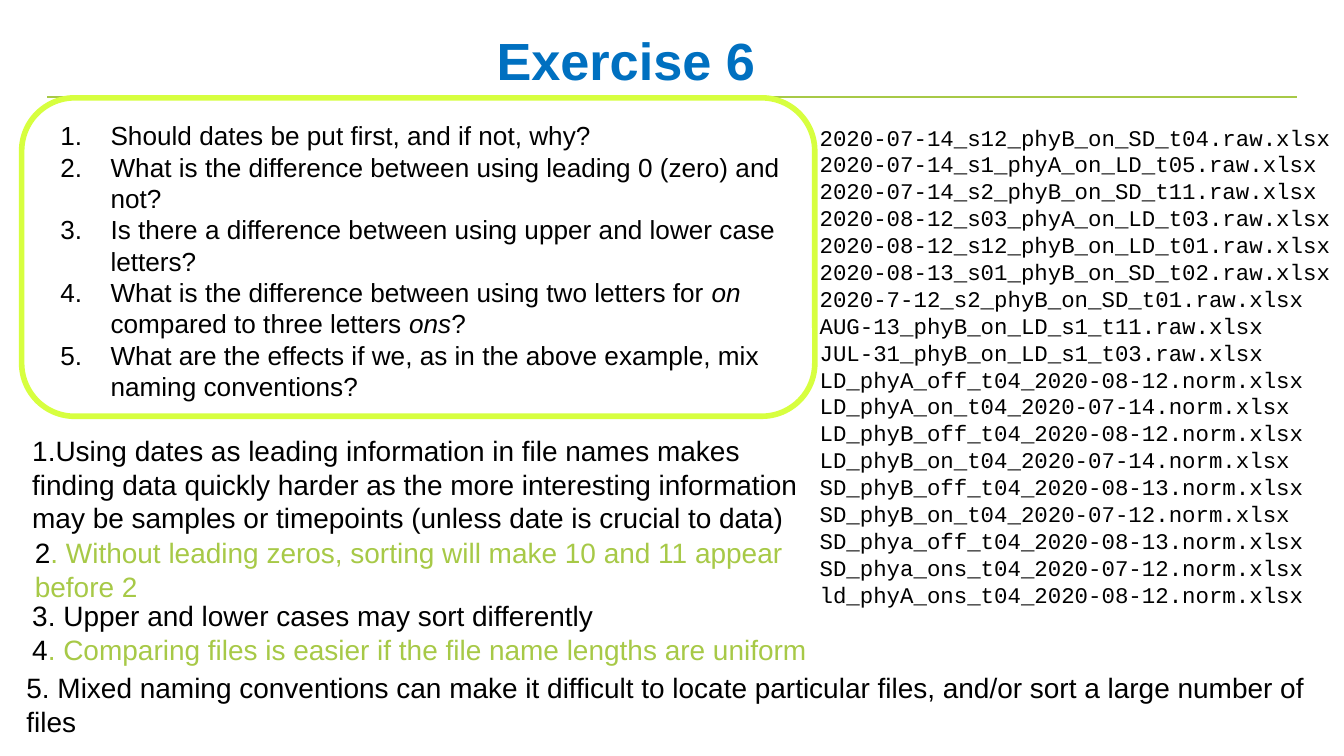
from dataclasses import dataclass

from lxml import etree
from pptx import Presentation, util as u
from pptx.dml.color import RGBColor
from pptx.enum import shapes, text
from pptx.oxml.ns import qn


@dataclass(frozen=True)
class Theme:
    sans: str = "Arial"
    mono: str = "Courier New"
    title: str = "0070C0"
    ink: str = "000000"
    green: str = "A7C947"
    lime: str = "D7FF3F"
    paper: str = "FFFFFF"
    title_pt: int = 28
    answer_pt: int = 15
    question_pt: int = 14
    file_pt: int = 12


@dataclass(frozen=True)
class Run:
    text: str
    color: str = Theme.ink
    italic: bool = False
    bold: bool = False


@dataclass(frozen=True)
class Block:
    left: float
    top: float
    width: float
    height: float
    paragraphs: list[list[Run]]
    size: int
    font: str = Theme.sans
    inset_x: float = 0.25
    inset_y: float = 0.13
    numbered: bool = False
    centered: bool = False
    fill: str | None = None


T = Theme()
INDENT = u.Cm(0.95)

QUESTIONS = [
    [Run("Should dates be put first, and if not, why?")],
    [Run("What is the difference between using leading 0 (zero) and not?")],
    [Run("Is there a difference between using upper and lower case letters?")],
    [
        Run("What is the difference between using two letters for "),
        Run("on", italic=True),
        Run(" compared to three letters "),
        Run("ons", italic=True),
        Run("?"),
    ],
    [Run("What are the effects if we, as in the above example, mix naming conventions?")],
]

FILES = [
    "2020-07-14_s12_phyB_on_SD_t04.raw.xlsx",
    "2020-07-14_s1_phyA_on_LD_t05.raw.xlsx",
    "2020-07-14_s2_phyB_on_SD_t11.raw.xlsx",
    "2020-08-12_s03_phyA_on_LD_t03.raw.xlsx",
    "2020-08-12_s12_phyB_on_LD_t01.raw.xlsx",
    "2020-08-13_s01_phyB_on_SD_t02.raw.xlsx",
    "2020-7-12_s2_phyB_on_SD_t01.raw.xlsx",
    "AUG-13_phyB_on_LD_s1_t11.raw.xlsx",
    "JUL-31_phyB_on_LD_s1_t03.raw.xlsx",
    "LD_phyA_off_t04_2020-08-12.norm.xlsx",
    "LD_phyA_on_t04_2020-07-14.norm.xlsx",
    "LD_phyB_off_t04_2020-08-12.norm.xlsx",
    "LD_phyB_on_t04_2020-07-14.norm.xlsx",
    "SD_phyB_off_t04_2020-08-13.norm.xlsx",
    "SD_phyB_on_t04_2020-07-12.norm.xlsx",
    "SD_phya_off_t04_2020-08-13.norm.xlsx",
    "SD_phya_ons_t04_2020-07-12.norm.xlsx",
    "ld_phyA_ons_t04_2020-08-12.norm.xlsx",
]


def answer(left: float, top: float, width: float, height: float,
           *runs: Run, inset_y: float = 0.25, fill: str | None = None) -> Block:
    return Block(left, top, width, height, [list(runs)], T.answer_pt,
                 inset_y=inset_y, fill=fill)


BLOCKS = [
    Block(4.27, 0.46, 15.11, 1.32, [[Run("Exercise 6", T.title, bold=True)]],
          T.title_pt, inset_x=0, inset_y=0, centered=True),
    answer(0.25, 12.55, 25.07, 1.55,
           Run("5. Mixed naming conventions can make it difficult to locate particular "
               "files, and/or sort a large number of files"),
           inset_y=0.13, fill=T.paper),
    Block(0.89, 2.13, 14.15, 5.64, QUESTIONS, T.question_pt, numbered=True),
    answer(0.36, 7.95, 15.11, 1.85,
           Run("1.Using dates as leading information in file names makes finding data "
               "quickly harder as the more interesting information may be samples or "
               "timepoints (unless date is crucial to data)")),
    answer(0.41, 9.88, 14.99, 1.09, Run("2"),
           Run(". Without leading zeros, sorting will make 10 and 11 appear before 2", T.green)),
    answer(0.36, 11.07, 18.14, 1.14, Run("3. Upper and lower cases may sort differently")),
    answer(0.36, 11.71, 16.36, 0.97, Run("4"),
           Run(". Comparing files is easier if the file name lengths are uniform", T.green)),
    Block(15.24, 2.21, 10.31, 9.5, [[Run(name)] for name in FILES], T.file_pt, T.mono),
]


def rgb(color: str) -> RGBColor:
    return RGBColor.from_string(color)


def apply(target: object, values: dict[str, object]) -> None:
    for name, value in values.items():
        setattr(target, name, value)


def number(p) -> None:
    pPr = p._p.get_or_add_pPr()
    pPr.set("marL", str(INDENT))
    pPr.set("indent", str(-INDENT))
    etree.SubElement(pPr, qn("a:buFont"), typeface="+mj-lt")
    etree.SubElement(pPr, qn("a:buAutoNum"), type="arabicPeriod")


def draw_block(s, block: Block) -> None:
    box = [u.Cm(v) for v in (block.left, block.top, block.width, block.height)]
    sp = s.shapes.add_textbox(*box)
    if block.fill:
        sp.fill.solid()
        sp.fill.fore_color.rgb = rgb(block.fill)
    tf = sp.text_frame
    anchor = text.MSO_ANCHOR.MIDDLE if block.centered else text.MSO_ANCHOR.TOP
    apply(tf, {
        "word_wrap": True, "vertical_anchor": anchor,
        "margin_left": u.Cm(block.inset_x), "margin_right": u.Cm(block.inset_x),
        "margin_top": u.Cm(block.inset_y), "margin_bottom": u.Cm(block.inset_y),
    })
    for i, runs in enumerate(block.paragraphs):
        p = tf.add_paragraph() if i else tf.paragraphs[0]
        p.alignment = text.PP_ALIGN.CENTER if block.centered else text.PP_ALIGN.LEFT
        if block.numbered:
            number(p)
        for run in runs:
            r = p.add_run()
            r.text = run.text
            apply(r.font, {"name": block.font, "size": u.Pt(block.size),
                           "bold": run.bold, "italic": run.italic})
            r.font.color.rgb = rgb(run.color)


def draw_rule(s) -> None:
    y = u.Cm(1.83)
    line = s.shapes.add_connector(shapes.MSO_CONNECTOR.STRAIGHT, u.Cm(0.89), y, u.Cm(24.51), y)
    line.line.color.rgb = rgb(T.green)
    line.line.width = u.Pt(1)
    etree.SubElement(line._element.spPr, qn("a:effectLst"))


def draw_frame(s) -> None:
    sp = s.shapes.add_shape(shapes.MSO_SHAPE.ROUNDED_RECTANGLE,
                            u.Cm(0.41), u.Cm(1.85), u.Cm(14.99), u.Cm(6.02))
    sp.shadow.inherit = False
    sp.fill.background()
    sp.line.color.rgb = rgb(T.lime)
    sp.line.width = u.Pt(3)


def main() -> None:
    prs = Presentation()
    apply(prs, {"slide_width": u.Cm(25.4), "slide_height": u.Cm(14.29)})
    s = prs.slides.add_slide(prs.slide_layouts[6])
    draw_rule(s)
    for block in BLOCKS:
        draw_block(s, block)
    draw_frame(s)
    prs.save("out.pptx")


if __name__ == "__main__":
    main()
